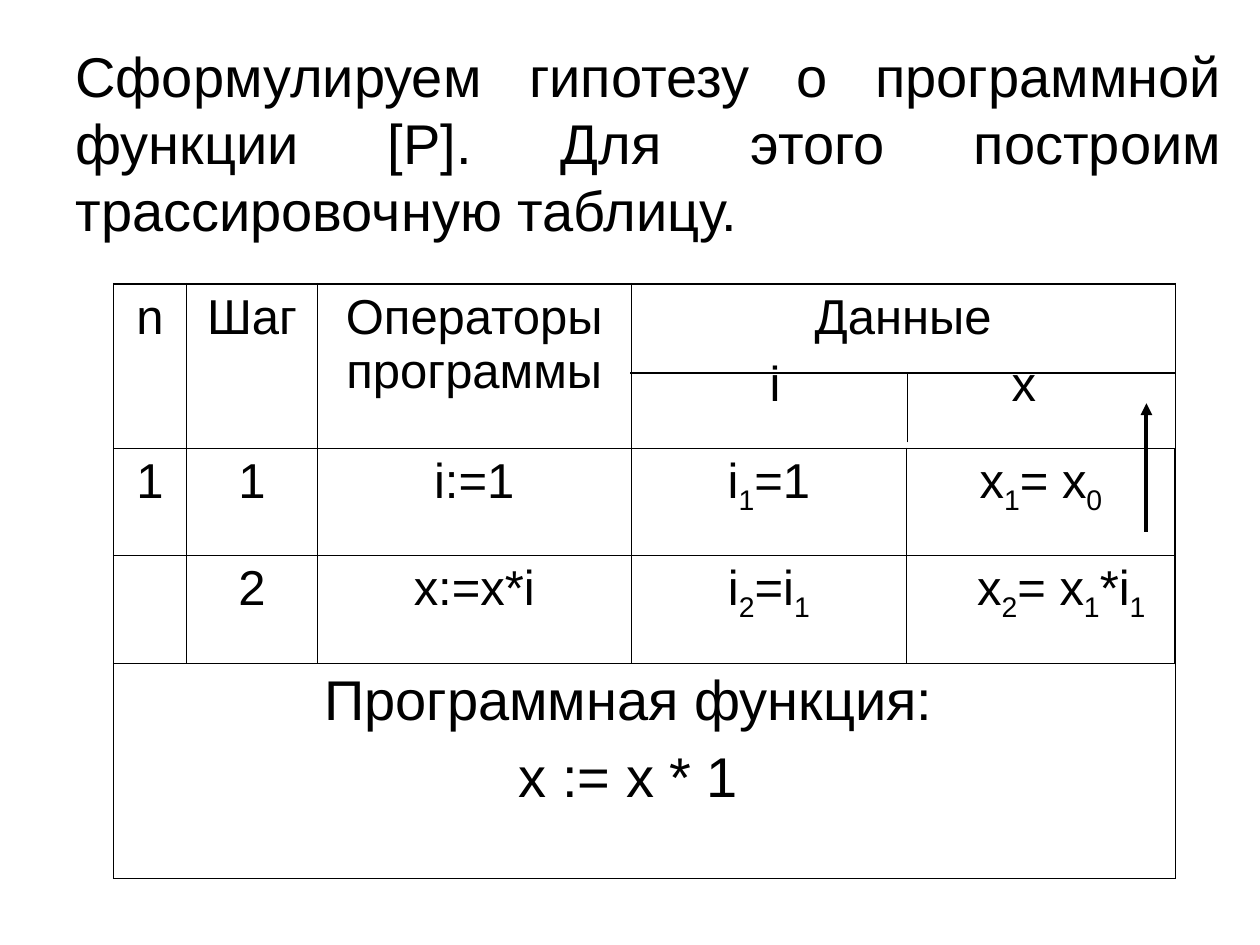
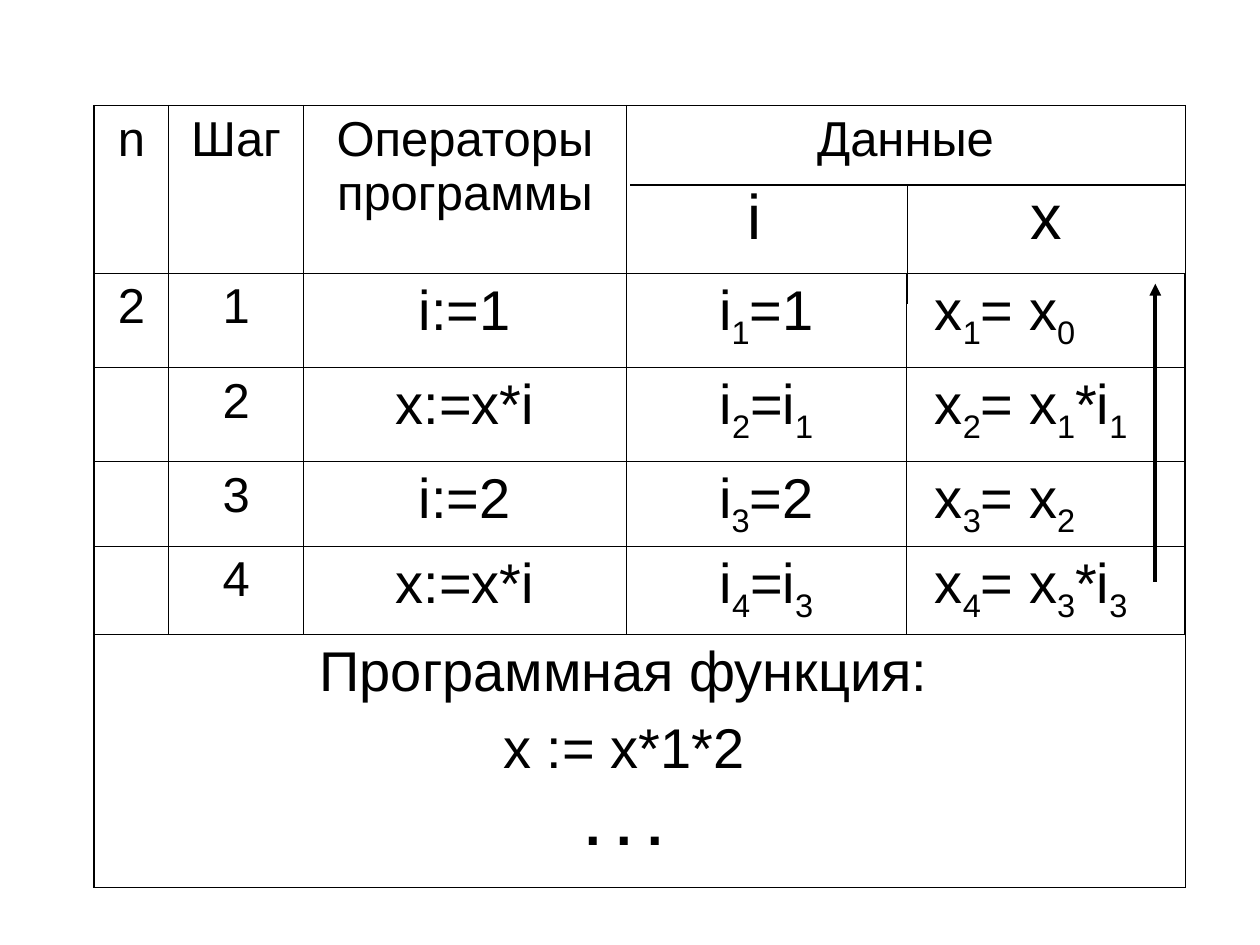
from lxml.etree import SubElement
from pptx import Presentation
from pptx.dml.color import RGBColor
from pptx.enum.shapes import MSO_CONNECTOR
from pptx.enum.text import PP_ALIGN
from pptx.oxml.ns import qn
from pptx.util import Cm, Pt

COLORS = {"ink": "000000"}
FONT = "Arial"
INK = RGBColor.from_string(COLORS["ink"])
MID, LEFT, FULL = PP_ALIGN.CENTER, PP_ALIGN.LEFT, PP_ALIGN.JUSTIFY
THICK, THIN = 1.08, 0.45
HEAD = ["n", "Шаг", "Операторы программы"]
TITLE = {"text": "Программная функция:", "size": 32, "right": 0.63}


def write(frame, lines):
    """Fill a frame with lines; "_" lowers the one character after it."""
    for k, line in enumerate(lines):
        para = frame.paragraphs[0] if k == 0 else frame.add_paragraph()
        size = line.get("size", 28)
        para.alignment = line.get("align", MID)
        para.space_before = Pt(size / 4)
        para.font.size, para.font.name = Pt(size), FONT
        para.font.color.rgb = INK
        para.font.bold = line.get("bold", False)
        props = para._p.get_or_add_pPr()
        for key, side in (("left", "marL"), ("right", "marR")):
            if key in line:
                props.set(side, str(Cm(line[key])))
        if "tabs" in line:
            stops = SubElement(props, qn("a:tabLst"))
            props.insert_element_before(stops, "a:defRPr", "a:extLst")
            for stop in line["tabs"]:
                SubElement(stops, qn("a:tab"), pos=str(Cm(stop)), algn="l")
        first, *rest = line["text"].split("_")
        parts = [(first, False)]
        for part in rest:
            parts += [(part[0], True), (part[1:], False)]
        for text, low in parts:
            if text:
                run = para.add_run()
                run.text = text
                if low:
                    run._r.get_or_add_rPr().set("baseline", "-25000")


def edge(cell, sides):
    """Draw the cell borders, given as tag: width in points."""
    props = cell._tc.get_or_add_tcPr()
    for spot, (tag, width) in enumerate(sides.items()):
        line = SubElement(props, qn("a:" + tag), w=str(Pt(width)))
        fill = SubElement(line, qn("a:solidFill"))
        SubElement(fill, qn("a:srgbClr"), val=COLORS["ink"])
        props.insert(spot, line)


traces = [
    {
        "intro": "Сформулируем гипотезу о программной функции [P]. "
                 "Для этого построим трассировочную таблицу.",
        "at": (2.29, 5.72),
        "cols": [1.47, 2.64, 6.32, 5.56, 5.41],
        "rows": [3.31, 2.16, 2.18, 4.34],
        "names": {"text": "\ti\tx", "align": LEFT, "tabs": (2.54, 7.42)},
        "steps": [["1", "1", "i:=1", "i_1=1", "x_1= x_0"],
                  ["", "2", "x:=x*i", "i_2=i_1", "x_2= x_1*i_1"]],
        "size": 28,
        "last": [{}, {"left": 0.82}],
        "result": [{"text": "х := x * 1", "size": 32}],
        "lines": [(12.7, 7.52, 23.7, 7.52), (18.29, 8.92, 18.29, 7.52)],
        "arrow": (23.11, 10.72, 23.11, 8.13),
    },
    {
        "at": (1.9, 2.13),
        "cols": [1.5, 2.72, 6.5, 5.66, 5.61],
        "rows": [3.38, 1.9, 1.9, 1.7, 1.78, 5.1],
        "names": {"text": "\ti\tx", "size": 36, "align": LEFT,
                  "tabs": (2.2, 7.9)},
        "steps": [["2", "1", "i:=1", "i_1=1", "x_1= x_0"],
                  ["", "2", "x:=x*i", "i_2=i_1", "x_2= x_1*i_1"],
                  ["", "3", "i:=2", "i_3=2", "x_3= x_2"],
                  ["", "4", "x:=x*i", "i_4=i_3", "x_4= x_3*i_3"]],
        "size": 32,
        "last": [{"align": LEFT, "left": 0.31}] * 4,
        "result": [{"text": "х := x*1*2", "size": 32},
                   {"text": ". . .", "size": 32, "bold": True}],
        "lines": [(12.7, 3.73, 23.9, 3.73), (18.29, 6.12, 18.29, 3.73)],
        "arrow": (23.29, 11.73, 23.29, 5.72),
    },
]

deck = Presentation()
deck.slide_width, deck.slide_height = Cm(25.4), Cm(19.05)

for trace in traces:
    slide = deck.slides.add_slide(deck.slide_layouts[6])
    if "intro" in trace:
        box = slide.shapes.add_textbox(Cm(1.27), Cm(0.71), Cm(23.62), Cm(17.4))
        box.text_frame.word_wrap = True
        write(box.text_frame,
              [{"text": trace["intro"], "size": 32, "align": FULL}])

    # Table grid
    cols, rows = trace["cols"], trace["rows"]
    wide, high = len(cols), len(rows)
    x, y = trace["at"]
    table = slide.shapes.add_table(high, wide, Cm(x), Cm(y),
                                   Cm(sum(cols)), Cm(sum(rows))).table
    table.first_row = table.horz_banding = False
    for col, width in zip(table.columns, cols):
        col.width = Cm(width)
    for row, height in zip(table.rows, rows):
        row.height = Cm(height)
    for r in range(high):
        for c in range(wide):
            cell = table.cell(r, c)
            cell.fill.background()
            edge(cell, {"lnL": THIN if c else THICK,
                        "lnR": THIN if c < wide - 1 else THICK,
                        "lnT": THIN if r else THICK,
                        "lnB": THIN if r < high - 1 else THICK})
    table.cell(0, 3).merge(table.cell(0, 4))
    table.cell(high - 1, 0).merge(table.cell(high - 1, wide - 1))

    # Table text
    for c, text in enumerate(HEAD):
        write(table.cell(0, c).text_frame, [{"text": text}])
    write(table.cell(0, 3).text_frame, [{"text": "Данные"}, trace["names"]])
    for r, step in enumerate(trace["steps"]):
        for c, text in enumerate(step):
            if text:
                line = {"text": text, "size": trace["size"] if c > 1 else 28}
                if c == wide - 1:
                    line |= trace["last"][r]
                write(table.cell(r + 1, c).text_frame, [line])
    write(table.cell(high - 1, 0).text_frame, [TITLE, *trace["result"]])

    # Header rules and the upward arrow
    for ends in [*trace["lines"], trace["arrow"]]:
        rule = slide.shapes.add_connector(MSO_CONNECTOR.STRAIGHT,
                                          *[Cm(v) for v in ends])
        rule.line.color.rgb = INK
        rule.line.width = Pt(0.75)
        if ends == trace["arrow"]:
            rule.line.width = Pt(2.25)
            SubElement(rule.line._get_or_add_ln(), qn("a:tailEnd"),
                       type="triangle")
        SubElement(rule._element.spPr, qn("a:effectLst"))

deck.save("out.pptx")
